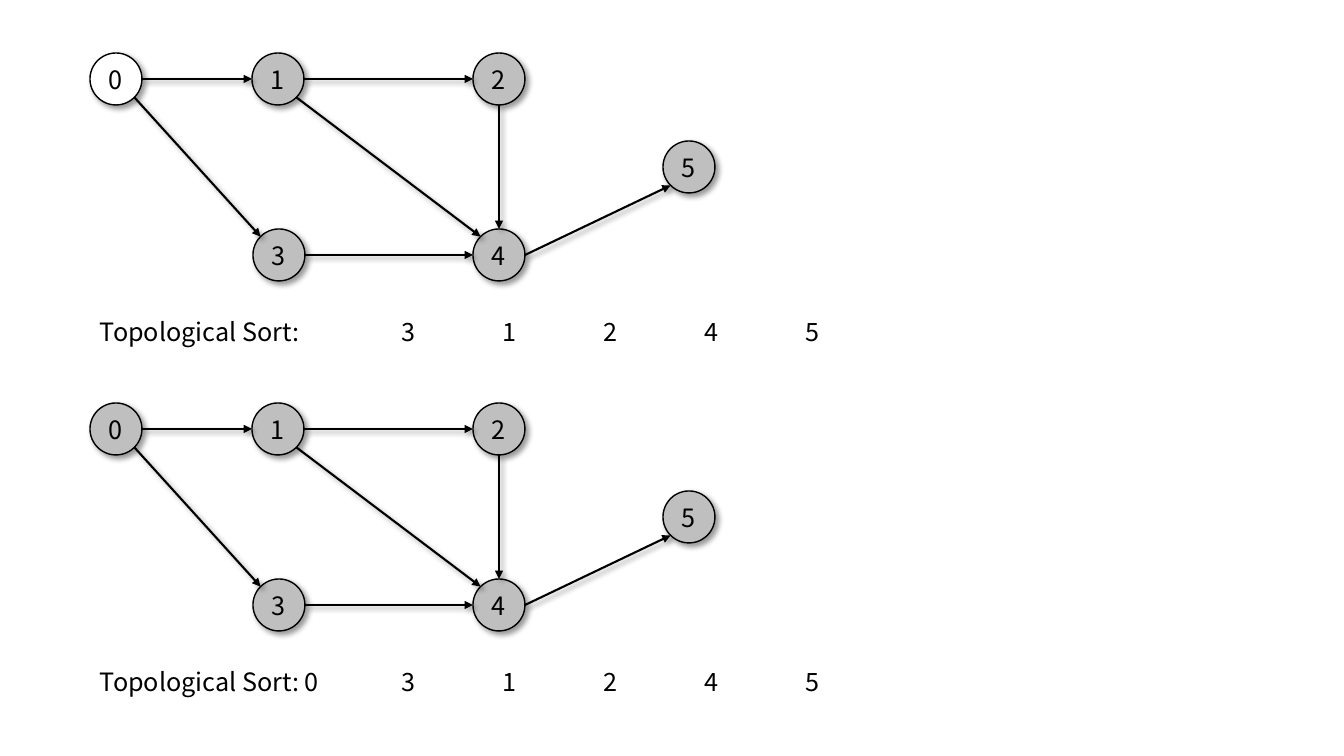
from math import cos, radians, sin

from pptx import Presentation
from pptx.dml.color import RGBColor
from pptx.enum.shapes import MSO_CONNECTOR as Connector, MSO_SHAPE as Shape
from pptx.enum.text import MSO_ANCHOR as Anchor, MSO_AUTO_SIZE as AutoSize, PP_ALIGN as Align
from pptx.oxml import parse_xml
from pptx.oxml.ns import nsdecls
from pptx.oxml.xmlchemy import OxmlElement
from pptx.util import Pt

# Content: each graph has a top offset, its unvisited nodes and the sort so far
GRAPHS = [
    {"top": 0, "unvisited": {"0"}, "sort": "Topological Sort: \t3\t1\t2\t4\t5"},
    {"top": 350, "unvisited": set(), "sort": "Topological Sort: 0\t3\t1\t2\t4\t5"},
]
NODE_CENTRES = {
    "0": (116, 79), "1": (278, 79), "2": (499, 79),
    "3": (279, 255), "4": (499, 255), "5": (689, 167),
}
# Start node, its exit angle, end node, its entry angle (clockwise from the right)
EDGES = [
    ("0", 0, "1", 180), ("1", 0, "2", 180), ("0", 45, "3", 225), ("1", 45, "4", 225),
    ("2", 90, "4", 270), ("3", 0, "4", 180), ("4", 0, "5", 135),
]
COLOURS = {"visited": "BFBFBF", "unvisited": "FFFFFF", "ink": "000000"}
FONT = {"name": "Noto Sans CJK KR", "size": Pt(18)}
RADIUS = 26
SORT_BOX = (90, 311, 1164, 41)
TAB_STOPS = [302 + 101 * index for index in range(5)]
SCALE = 914400 / 100.8


def emu(*pixels):
    return [round(value * SCALE) for value in pixels]


def colour(name):
    return RGBColor.from_string(COLOURS[name])


def outline(line, points):
    line.color.rgb = colour("ink")
    line.width = Pt(points)


def add_shadow(shape):
    shape._element.spPr.append(parse_xml(
        f'<a:effectLst {nsdecls("a")}>'
        f'<a:outerShdw blurRad="{Pt(4)}" dist="{Pt(3)}" dir="2700000" algn="tl" rotWithShape="0">'
        f'<a:srgbClr val="{COLOURS["ink"]}"><a:alpha val="40000"/></a:srgbClr>'
        '</a:outerShdw></a:effectLst>'))


def write(frame, text, align):
    paragraph = frame.paragraphs[0]
    paragraph.alignment = align
    run = paragraph.add_run()
    run.text = text
    for attribute, value in FONT.items():
        setattr(run.font, attribute, value)
    run.font.color.rgb = colour("ink")
    return paragraph


def rim_point(node, angle, top):
    x, y = NODE_CENTRES[node]
    return emu(x + RADIUS * cos(radians(angle)), top + y + RADIUS * sin(radians(angle)))


def add_node(slide, label, top, state):
    x, y = NODE_CENTRES[label]
    node = slide.shapes.add_shape(
        Shape.OVAL, *emu(x - RADIUS, top + y - RADIUS, 2 * RADIUS, 2 * RADIUS))
    node.fill.solid()
    node.fill.fore_color.rgb = colour(state)
    outline(node.line, 1)
    add_shadow(node)
    frame = node.text_frame
    frame.vertical_anchor = Anchor.MIDDLE
    for side in ("left", "right", "top", "bottom"):
        setattr(frame, f"margin_{side}", 0)
    write(frame, label, Align.CENTER)


def add_edge(slide, start, exit_angle, end, entry_angle, top):
    edge = slide.shapes.add_connector(
        Connector.STRAIGHT, *rim_point(start, exit_angle, top), *rim_point(end, entry_angle, top))
    outline(edge.line, 1.5)
    arrowhead = OxmlElement("a:tailEnd")
    arrowhead.set("type", "triangle")
    edge.line._get_or_add_ln().append(arrowhead)
    add_shadow(edge)


def add_sort(slide, text, top):
    left, box_top, width, height = SORT_BOX
    frame = slide.shapes.add_textbox(*emu(left, top + box_top, width, height)).text_frame
    frame.word_wrap = True
    frame.auto_size = AutoSize.SHAPE_TO_FIT_TEXT
    paragraph = write(frame, text, Align.LEFT)
    tabs = OxmlElement("a:tabLst")
    for position in emu(*TAB_STOPS):
        tab = OxmlElement("a:tab")
        tab.set("pos", str(position))
        tab.set("algn", "l")
        tabs.append(tab)
    paragraph._p.get_or_add_pPr().append(tabs)


# Slide
presentation = Presentation()
presentation.slide_width, presentation.slide_height = emu(1344, 756)
slide = presentation.slides.add_slide(presentation.slide_layouts[6])

# Graphs with their sort lines
for graph in GRAPHS:
    for label in NODE_CENTRES:
        state = "unvisited" if label in graph["unvisited"] else "visited"
        add_node(slide, label, graph["top"], state)
    for edge in EDGES:
        add_edge(slide, *edge, graph["top"])
    add_sort(slide, graph["sort"], graph["top"])

presentation.save("out.pptx")
